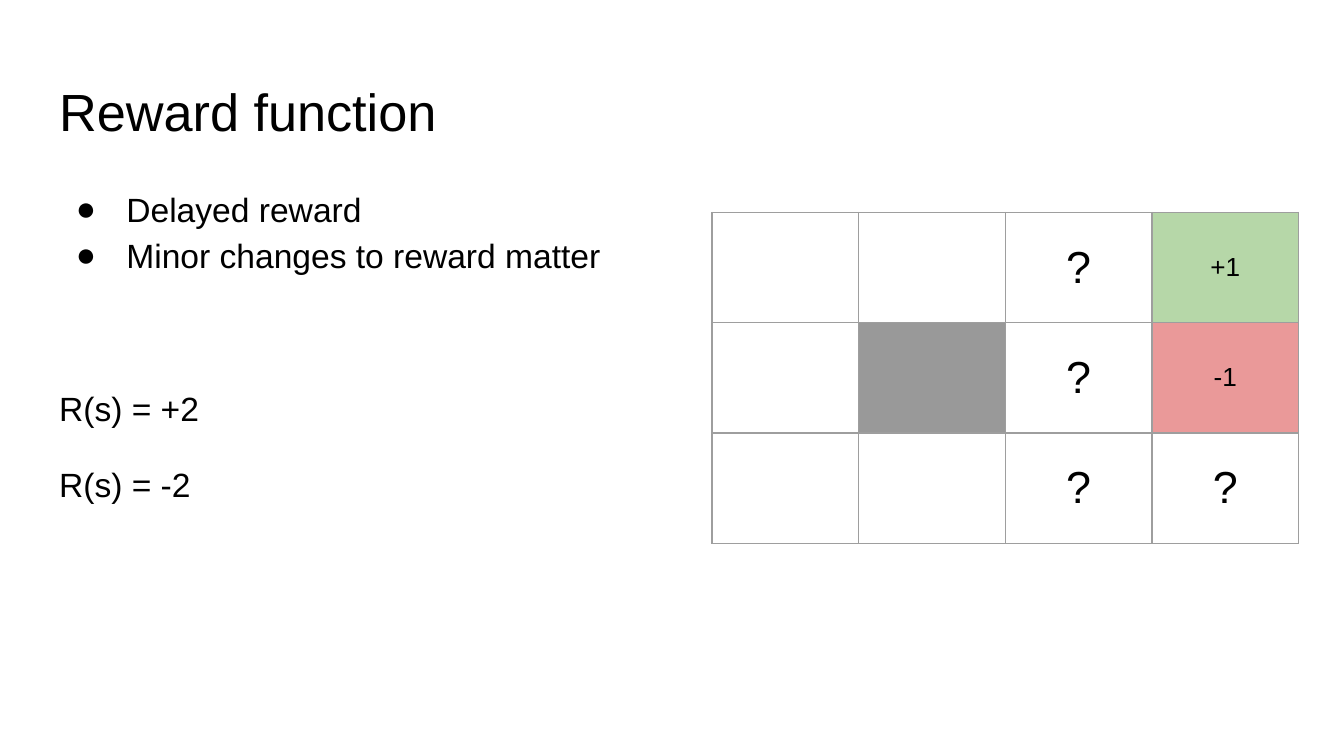
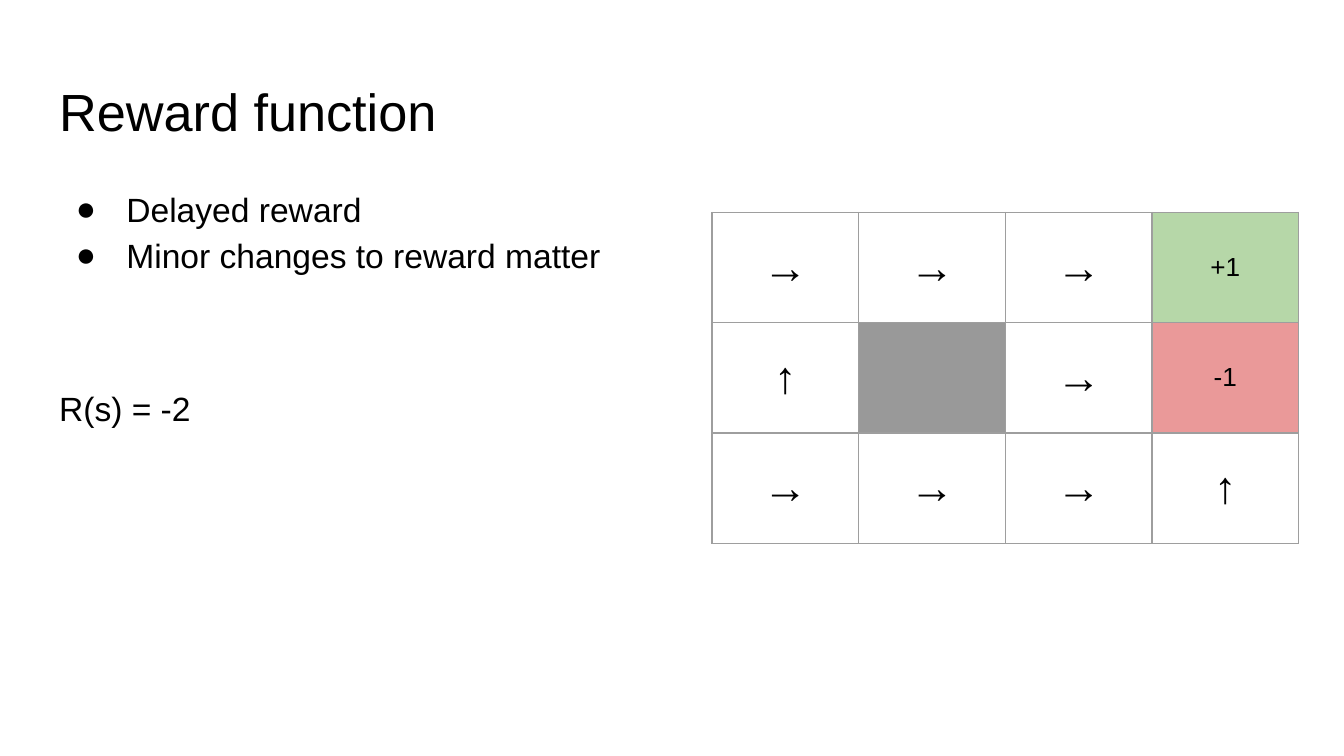
import pptx
import pptx.dml.color
import pptx.enum.text
import pptx.oxml
import pptx.oxml.ns
import pptx.util

Pt = pptx.util.Pt
Align = pptx.enum.text.PP_ALIGN
Anchor = pptx.enum.text.MSO_ANCHOR
COLORS = {
    "text": "000000",
    "line": "9E9E9E",
    "wall": "999999",
    "goal": "B6D7A8",
    "trap": "EA9999",
}
FONT = "Arial"
INSET = 7.2
LEFT, WIDTH = 24.5, 671
FILLS = {(0, 3): "goal", (1, 1): "wall", (1, 3): "trap"}
POINTS = ["Delayed reward", "Minor changes to reward matter"]


def tint(name):
    """Return the named colour."""
    return pptx.dml.color.RGBColor.from_string(COLORS[name])


def node(parent, tag, **attrs):
    """Append a drawing element with its attributes."""
    item = pptx.oxml.parse_xml(f"<a:{tag} {pptx.oxml.ns.nsdecls('a')}/>")
    for key, value in attrs.items():
        item.set(key, str(value))
    parent.append(item)
    return item


class Deck:
    """Hold the style and the current slide."""

    def __init__(self):
        """Start an empty deck."""
        self.prs = pptx.Presentation()
        self.prs.slide_width, self.prs.slide_height = Pt(720), Pt(405)
        self.slide = None

    def page(self):
        """Add a slide with a title and a body."""
        layout = self.prs.slide_layouts.get_by_name("Title and Content")
        self.slide = self.prs.slides.add_slide(layout)

    def label(self, para, text, size):
        """Add one run in the deck's font."""
        run = para.add_run()
        run.text = text
        run.font.name, run.font.size = FONT, Pt(size)
        run.font.color.rgb = tint("text")

    def inset(self, box):
        """Set equal margins on a frame or cell."""
        box.margin_left = box.margin_right = Pt(INSET)
        box.margin_top = box.margin_bottom = Pt(INSET)

    def place(self, index, top, height):
        """Move a placeholder and return its text frame."""
        shape = self.slide.placeholders[index]
        shape.left, shape.top = Pt(LEFT), Pt(top)
        shape.width, shape.height = Pt(WIDTH), Pt(height)
        frame = shape.text_frame
        frame.word_wrap = True
        frame.auto_size = pptx.enum.text.MSO_AUTO_SIZE.NONE
        frame.vertical_anchor = Anchor.TOP
        self.inset(frame)
        return frame

    def title(self, text):
        """Fill the title."""
        para = self.place(0, 35.3, 45.4).paragraphs[0]
        para.alignment = Align.LEFT
        self.label(para, text, 28)

    def body(self, points, rules):
        """Fill the body with bullets, then plain reward rules."""
        frame = self.place(1, 90.7, 269.3)
        for i, text in enumerate(points + rules):
            para = frame.add_paragraph() if i else frame.paragraphs[0]
            para.line_spacing = 1.15
            para.space_before = para.space_after = Pt(0)
            props = para._p.get_or_add_pPr()
            if i < len(points):
                props.set("marL", str(Pt(36)))
                props.set("indent", str(Pt(-27)))
                color = node(props, "buClr")
                node(color, "srgbClr", val=COLORS["text"])
                node(props, "buFont", typeface=FONT)
                node(props, "buChar", char="●")
            else:
                para.space_before = Pt(57 if i == len(points) else 16)
                props.set("marL", "0")
                props.set("indent", "0")
                node(props, "buNone")
            self.label(para, text, 18)

    def border(self, cell):
        """Draw all four edges of a cell."""
        props = cell._tc.get_or_add_tcPr()
        for side in "LRTB":
            line = node(props, f"ln{side}", w=Pt(0.75))
            fill = node(line, "solidFill")
            node(fill, "srgbClr", val=COLORS["line"])

    def grid(self, rows):
        """Draw the grid world."""
        wide, high = 78.6, 59.1
        count = len(rows[0])
        table = self.slide.shapes.add_table(
            len(rows), count, Pt(381.4), Pt(113.8),
            Pt(wide * count), Pt(high * len(rows))).table
        table.first_row = table.horz_banding = False
        for col in table.columns:
            col.width = Pt(wide)
        for r, row in enumerate(rows):
            table.rows[r].height = Pt(high)
            for c, text in enumerate(row):
                cell = table.cell(r, c)
                self.inset(cell)
                self.border(cell)
                cell.vertical_anchor = Anchor.MIDDLE
                if (r, c) in FILLS:
                    cell.fill.solid()
                    cell.fill.fore_color.rgb = tint(FILLS[r, c])
                else:
                    cell.fill.background()
                if text:
                    para = cell.text_frame.paragraphs[0]
                    para.alignment = Align.CENTER
                    self.label(para, text, 14 if (r, c) in FILLS else 24)


def main():
    """Build both slides."""
    deck = Deck()
    pages = [
        (["R(s) = +2", "R(s) = -2"],
         [["", "", "?", "+1"], ["", "", "?", "-1"], ["", "", "?", "?"]]),
        (["R(s) = -2"],
         [["→", "→", "→", "+1"], ["↑", "", "→", "-1"], ["→", "→", "→", "↑"]]),
    ]
    for rules, rows in pages:
        deck.page()
        deck.title("Reward function")
        deck.body(POINTS, rules)
        deck.grid(rows)
    deck.prs.save("out.pptx")


if __name__ == "__main__":
    main()
